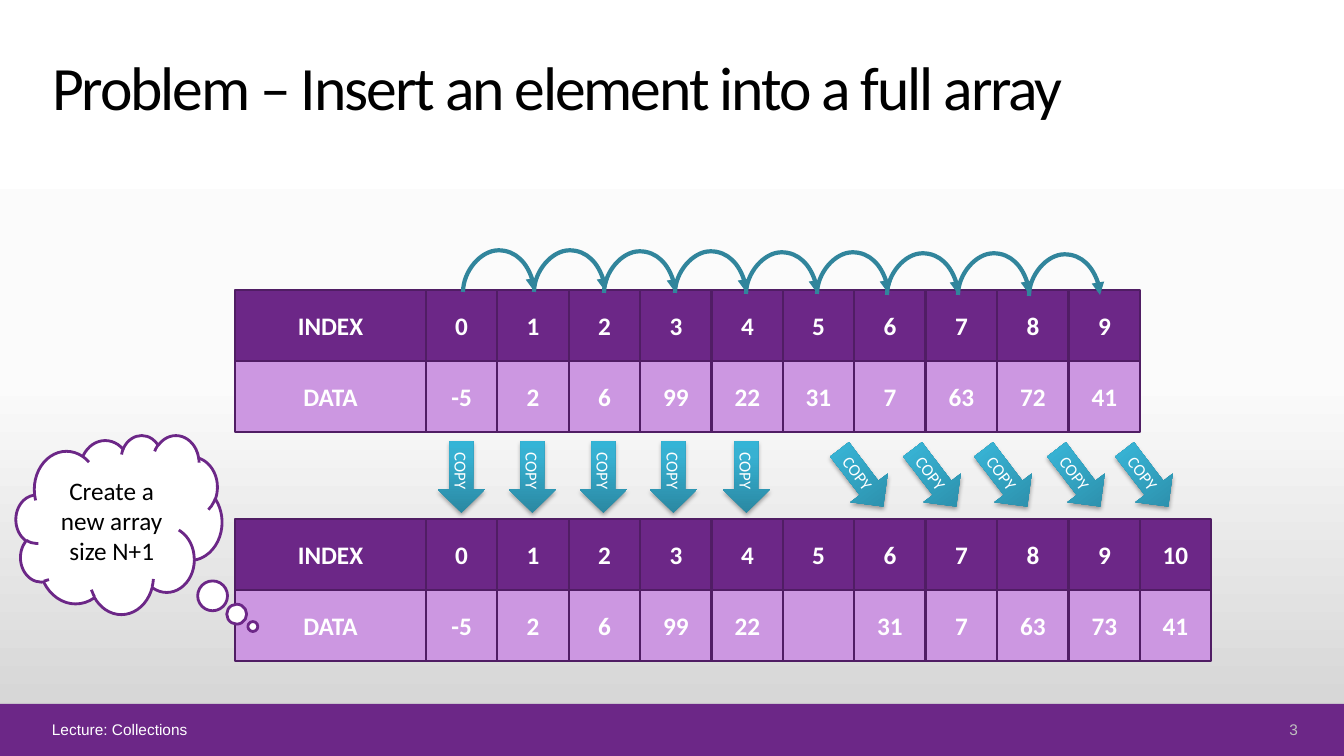
import pptx
import pptx.dml.color
import pptx.enum.shapes
import pptx.enum.text
import pptx.oxml
import pptx.oxml.ns
import pptx.util

RGB = pptx.dml.color.RGBColor
SHAPE = pptx.enum.shapes.MSO_SHAPE
ALIGN = pptx.enum.text.PP_ALIGN
ANCHOR = pptx.enum.text.MSO_ANCHOR
qn = pptx.oxml.ns.qn

PURPLE = RGB(0x6C, 0x27, 0x87)
LILAC = RGB(0xCC, 0x97, 0xE1)
EDGE = RGB(0x50, 0x1D, 0x64)
TEAL = RGB(0x31, 0x85, 0x9C)
WHITE = RGB(0xFF, 0xFF, 0xFF)
BLACK = RGB(0, 0, 0)
GREY = RGB(0xBF, 0xBF, 0xBF)
BACKGROUND = [(0, WHITE), (50, RGB(0xFB, 0xFB, 0xFB)), (100, RGB(0xD1, 0xD1, 0xD1))]
ARROW = [(0, RGB(0x2A, 0x88, 0xA2)), (80, RGB(0x37, 0xB1, 0xD2)), (100, RGB(0x34, 0xB4, 0xD6))]

# Array geometry in px
CELL_LEFT, LABEL_LEFT = 426, 235


def px(n):
    return pptx.util.Emu(round(n * 914400 / 100.8))


def cell_x(i):
    return CELL_LEFT + round(71.4 * i)


def write(tf, text, size=18, color=WHITE, font="Calibri", bold=False,
          align=ALIGN.CENTER, anchor=ANCHOR.MIDDLE, spacing=None, vert=None):
    tf.word_wrap = True
    tf.vertical_anchor = anchor
    if vert:
        tf._txBody.bodyPr.set("vert", vert)
    p = tf.paragraphs[0]
    p.alignment = align
    r = p.add_run()
    r.text = text
    r.font.name, r.font.size, r.font.bold = font, pptx.util.Pt(size), bold
    r.font.color.rgb = color
    if spacing is not None:
        r.font._element.set("spc", str(spacing))


def gradient(fill, element, stops, angle):
    fill.gradient()
    fill.gradient_angle = angle
    stop_list = next(element.iter(qn("a:gsLst")))
    stop_list.clear()
    for position, color in stops:
        stop_list.append(pptx.oxml.parse_xml(
            f'<a:gs {pptx.oxml.ns.nsdecls("a")} pos="{position * 1000}">'
            f'<a:srgbClr val="{color}"/></a:gs>'))


class Deck:
    def __init__(self):
        self.prs = pptx.Presentation()
        self.prs.slide_width, self.prs.slide_height = px(1344), px(756)
        self.s = self.prs.slides.add_slide(self.prs.slide_layouts[5])
        gradient(self.s.background.fill, self.s._element, BACKGROUND, 270)

    def title(self, text, x, y, w, h):
        sp = self.s.shapes.title
        sp.left, sp.top, sp.width, sp.height = px(x), px(y), px(w), px(h)
        sp.text_frame.auto_size = pptx.enum.text.MSO_AUTO_SIZE.NONE
        write(sp.text_frame, text, size=44, color=BLACK, align=ALIGN.LEFT,
              anchor=ANCHOR.BOTTOM, spacing=-150)

    def text(self, text, x, y, w, h, **style):
        sp = self.s.shapes.add_textbox(px(x), px(y), px(w), px(h))
        write(sp.text_frame, text, **style)

    def shape(self, kind, x, y, w, h, fill=None, line=None, text="", **style):
        sp = self.s.shapes.add_shape(kind, px(x), px(y), px(w), px(h))
        sp.shadow.inherit = False
        if fill is not None:
            sp.fill.solid()
            sp.fill.fore_color.rgb = fill
        if line is None:
            sp.line.fill.background()
        else:
            sp.line.color.rgb = line
            sp.line.width = pptx.util.Pt(2)
        if text:
            write(sp.text_frame, text, **style)
        return sp

    def array(self, y, values):
        rows = [("INDEX", range(len(values)), PURPLE), ("DATA", values, LILAC)]
        for row, (label, items, fill) in enumerate(rows):
            top = y + round(71.4 * row)
            cells = [(cell_x(i), cell_x(i + 1), item) for i, item in enumerate(items)]
            for left, right, item in cells + [(LABEL_LEFT, CELL_LEFT, label)]:
                self.shape(SHAPE.RECTANGLE, left, top, right - left, 71,
                           fill, EDGE, str(item), bold=True)

    def copy_arrow(self, x, y, rotation=0):
        sp = self.shape(SHAPE.DOWN_ARROW, x, y, 47, 72, text="COPY", size=12, vert="vert")
        sp.rotation = rotation
        gradient(sp.fill, sp._element, ARROW, 90)
        sp._element.spPr.find(qn("a:effectLst")).append(pptx.oxml.parse_xml(
            f'<a:outerShdw {pptx.oxml.ns.nsdecls("a")} blurRad="40000" dist="23000" '
            'dir="5400000" rotWithShape="0"><a:srgbClr val="000000">'
            '<a:alpha val="35000"/></a:srgbClr></a:outerShdw>'))

    def hop(self, x, y, span, rise):
        # A one px wide curve, turned a quarter so that it bulges upwards
        mid = x + span // 2
        top = y - span // 2
        c = self.s.shapes.add_connector(pptx.enum.shapes.MSO_CONNECTOR.CURVE,
                                        px(mid + 1), px(top + span), px(mid), px(top))
        c.line.color.rgb = TEAL
        c.line.width = pptx.util.Pt(3)
        spPr = c._element.spPr
        spPr.find(qn("a:xfrm")).set("rot", "5400000")
        guide = pptx.oxml.parse_xml(f'<a:gd {pptx.oxml.ns.nsdecls("a")} name="adj1" '
                                    f'fmla="val {rise * 100000}"/>')
        spPr.find(qn("a:prstGeom")).get_or_add_avLst().append(guide)
        c.line._get_or_add_ln().append(pptx.oxml.parse_xml(
            f'<a:tailEnd {pptx.oxml.ns.nsdecls("a")} type="triangle"/>'))
        spPr.append(pptx.oxml.parse_xml(f'<a:effectLst {pptx.oxml.ns.nsdecls("a")}/>'))


def main():
    d = Deck()

    # Title and footer
    d.shape(SHAPE.RECTANGLE, 0, 704, 1344, 52, PURPLE)
    d.title("Problem – Insert an element into a full array", 42, 40, 1048, 88)
    d.text("Lecture: Collections", 42, 718, 1174, 23, size=11, font="Arial", align=ALIGN.LEFT)
    d.text("3", 1233, 718, 75, 23, size=11, font="Arial", color=GREY, align=ALIGN.RIGHT)

    # Full array and the larger array
    d.array(290, [-5, 2, 6, 99, 22, 31, 7, 63, 72, 41])
    d.array(519, [-5, 2, 6, 99, 22, "", 31, 7, 63, 73, 41])

    # Copies before and after the gap
    for x in (438, 509, 580, 650, 723):
        d.copy_arrow(x, 441)
    for x in (838, 911, 982, 1055, 1123):
        d.copy_arrow(x, 442, rotation=322.6)

    # Hops from each index to the next
    for i in range(9):
        d.hop(463 + round(70.7 * i), 291 + i // 2, span=71, rise=42)

    # Thought cloud
    cloud = d.shape(SHAPE.CLOUD_CALLOUT, 16, 435, 206, 179, WHITE, PURPLE,
                    "Create a new array size N+1", color=BLACK)
    cloud.adjustments[0], cloud.adjustments[1] = 0.65, 0.57

    d.prs.save("out.pptx")


if __name__ == "__main__":
    main()
